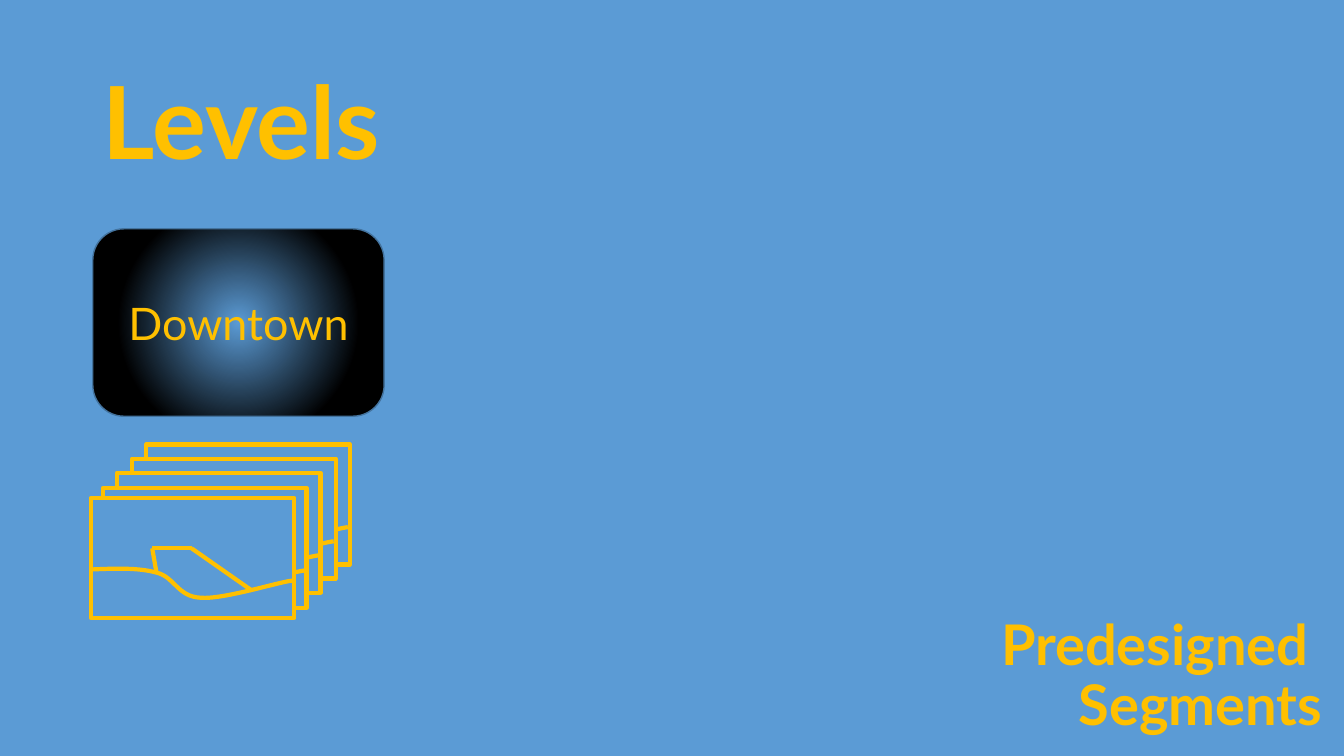
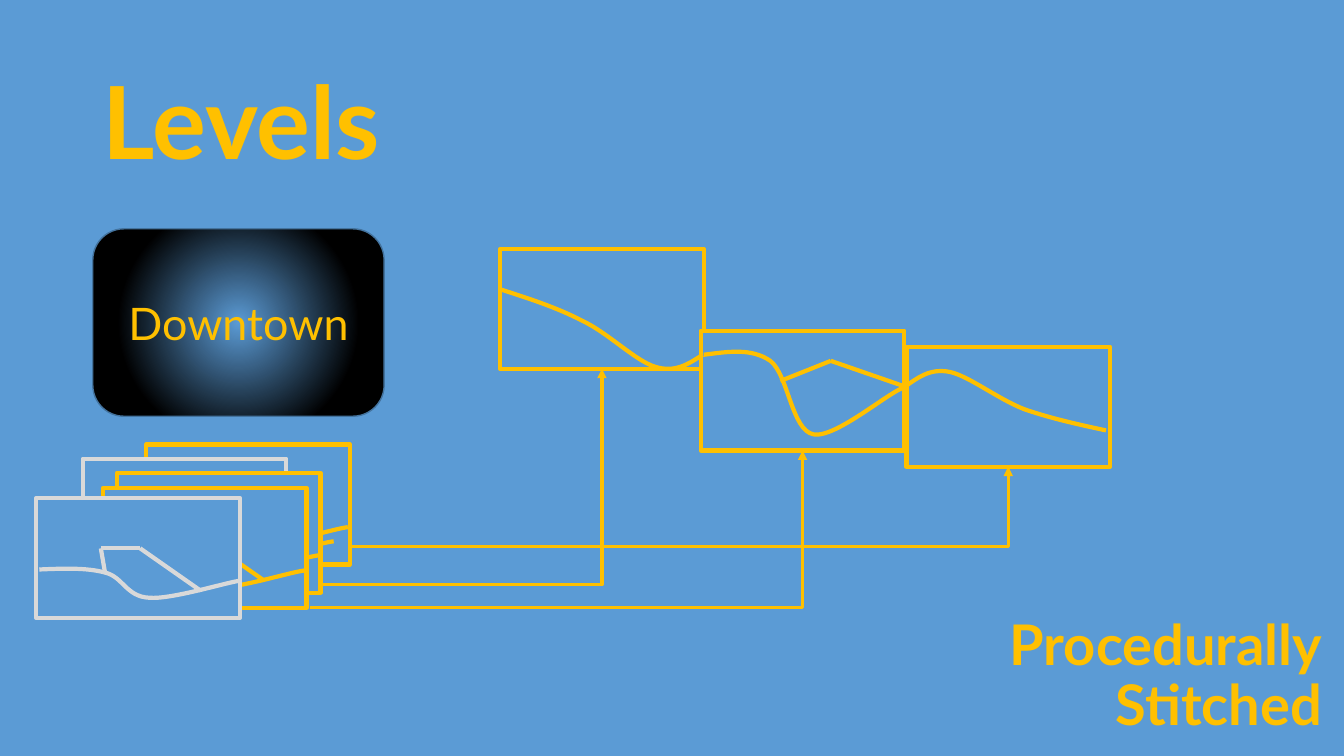
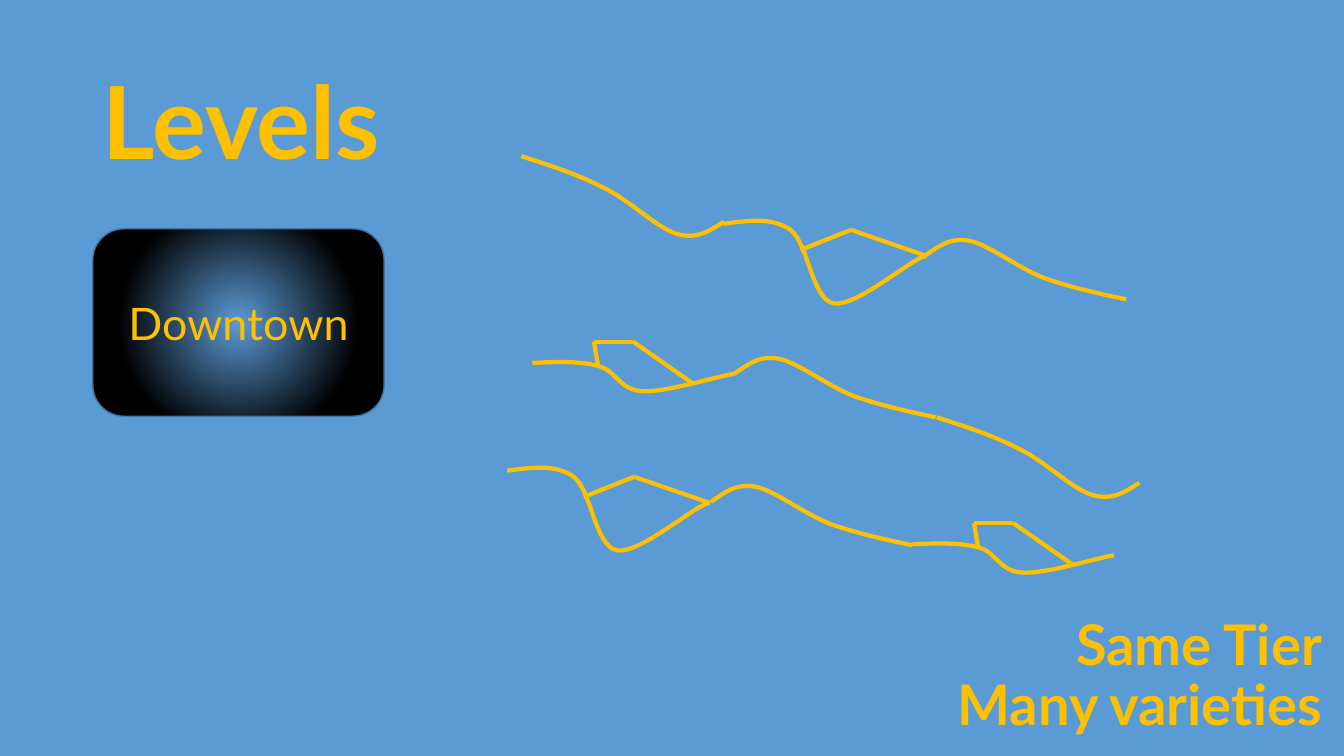
from dataclasses import dataclass
from itertools import pairwise

from lxml import etree
from pptx import Presentation
from pptx import util as u
from pptx.dml.color import RGBColor
from pptx.enum import shapes, text
from pptx.oxml.ns import nsdecls, qn


@dataclass(frozen=True)
class Theme:
    sky: str = "5B9BD5"
    gold: str = "FFC000"
    muted: str = "D9D9D9"
    edge: str = "43739E"
    black: str = "000000"
    font: str = "Lato"
    title: int = 72
    caption: int = 40
    label: int = 32
    stroke: float = 3
    arrow: float = 2.25


@dataclass(frozen=True)
class Terrain:
    """Cubic curve points and extra straight edges, measured from the left end."""
    curve: tuple
    edges: tuple = ()


T = Theme()
CELL = u.Inches(1)  # grid of one-inch columns and rows
COLS, ROWS = 13.33, 7.5
CARD_W, CARD_H = 2.02, 1.19
HORIZON = 0.71  # from the top of a card to its hill
STACK = ((1.45, 4.41), (1.31, 4.55), (1.16, 4.69), (1.02, 4.84), (0.9, 4.94))

HILL = Terrain(
    ((0, 0), (0.23, -0.01), (0.47, -0.02), (0.65, 0.03),
     (0.83, 0.07), (0.86, 0.27), (1.09, 0.28),
     (1.31, 0.3), (1.88, 0.12), (2, 0.11)),
    ((0.65, 0.02), (0.61, -0.21), (1, -0.21), (1.6, 0.21)))
VALLEY = Terrain(
    ((0, 0), (0.24, -0.03), (0.47, -0.07), (0.66, 0.06),
     (0.84, 0.2), (0.87, 0.75), (1.09, 0.79),
     (1.32, 0.83), (1.89, 0.32), (2.01, 0.32)),
    ((2.01, 0.32), (1.26, 0.06), (0.76, 0.26)))
DROP = Terrain(
    ((0, 0), (0.28, 0.09), (0.56, 0.18), (0.81, 0.31),
     (1.07, 0.43), (1.34, 0.71), (1.54, 0.77),
     (1.74, 0.83), (1.87, 0.74), (2.01, 0.65)))
CREST = Terrain(
    ((0, 0), (0.13, -0.09), (0.25, -0.19), (0.45, -0.15),
     (0.64, -0.11), (0.93, 0.12), (1.19, 0.22),
     (1.45, 0.31), (1.72, 0.37), (2, 0.43)))


def grid(*lengths):
    return [round(n * CELL) for n in lengths]


def rgb(color):
    return RGBColor.from_string(color)


def outline(sp, color, width=T.stroke):
    sp.line.color.rgb = rgb(color)
    sp.line.width = u.Pt(width)


def write(tf, words, size, align, anchor, bold=False, spacing=None):
    tf.text = words
    tf.word_wrap = True
    tf.auto_size = text.MSO_AUTO_SIZE.NONE
    tf.vertical_anchor = anchor
    for p in tf.paragraphs:
        p.alignment = align
        p.line_spacing = spacing
        for r in p.runs:
            r.font.name = T.font
            r.font.size = u.Pt(size)
            r.font.bold = bold
            r.font.color.rgb = rgb(T.gold)


def add_title(s, words):
    sp = s.shapes.title
    sp.left, sp.top, sp.width, sp.height = grid(0.92, 0.4, 11.5, 1.45)
    write(sp.text_frame, words, T.title, text.PP_ALIGN.LEFT,
          text.MSO_ANCHOR.BOTTOM, True, 0.9)


def add_caption(s, words):
    sp = s.shapes.add_textbox(*grid(8.84, 5.92, 4.37, 1.45))
    write(sp.text_frame, words, T.caption, text.PP_ALIGN.RIGHT,
          text.MSO_ANCHOR.BOTTOM, True, 0.9)


def add_badge(s, words):
    """Rounded button with a radial glow."""
    sp = s.shapes.add_shape(shapes.MSO_SHAPE.ROUNDED_RECTANGLE,
                            *grid(0.92, 2.27, 2.89, 1.86))
    sp.shadow.inherit = False
    outline(sp, T.edge, 1)
    stops = "".join(
        f'<a:gs pos="{pos * 1000}"><a:srgbClr val="{color}"/></a:gs>'
        for pos, color in ((0, T.sky), (70, T.black), (100, T.black)))
    glow = etree.fromstring(
        f'<a:gradFill {nsdecls("a")} rotWithShape="1"><a:gsLst>{stops}</a:gsLst>'
        '<a:path path="circle"><a:fillToRect l="50000" t="50000" r="50000" b="50000"/>'
        '</a:path></a:gradFill>')
    sp._element.spPr.find(qn("a:prstGeom")).addnext(glow)
    write(sp.text_frame, words, T.label, text.PP_ALIGN.CENTER, text.MSO_ANCHOR.MIDDLE)


def add_card(s, x, y, color=T.gold):
    sp = s.shapes.add_shape(shapes.MSO_SHAPE.RECTANGLE, *grid(x, y, CARD_W, CARD_H))
    sp.shadow.inherit = False
    sp.fill.solid()
    sp.fill.fore_color.rgb = rgb(T.sky)
    outline(sp, color)


def add_connector(s, kind, start, end, color, width):
    sp = s.shapes.add_connector(kind, *grid(*start, *end))
    outline(sp, color, width)
    etree.SubElement(sp._element.spPr, qn("a:effectLst"))
    return sp


def add_arrow(s, start, end):
    """Runs right from start, then up to end."""
    sp = add_connector(s, shapes.MSO_CONNECTOR.ELBOW, start, end, T.gold, T.arrow)
    sp._element.spPr.find(qn("a:prstGeom")).set("prst", "bentConnector2")
    etree.SubElement(sp.line._get_or_add_ln(), qn("a:tailEnd"), type="triangle")


def add_curve(s, points, color):
    """Freeform whose points after the first are cubic Bézier triples."""
    first, *rest = [grid(*point) for point in points]
    builder = s.shapes.build_freeform(*first)
    builder.add_line_segments(rest, close=False)
    sp = builder.convert_to_shape()
    sp.shadow.inherit = False
    sp.fill.background()
    outline(sp, color)
    segments = list(sp._element.iter(qn("a:lnTo")))
    for i in range(0, len(segments), 3):
        bezier = etree.SubElement(segments[0].getparent() if i == 0 else outline_of,
                                  qn("a:cubicBezTo"))
        outline_of = bezier.getparent()
        for segment in segments[i:i + 3]:
            bezier.append(segment[0])
            outline_of.remove(segment)


def add_edges(s, points, x, y, color=T.gold):
    for start, end in pairwise((x + dx, y + dy) for dx, dy in points):
        add_connector(s, shapes.MSO_CONNECTOR.STRAIGHT, start, end, color, T.stroke)


def add_terrain(s, terrain, x, y, color=T.gold, edges=True):
    add_curve(s, [(x + dx, y + dy) for dx, dy in terrain.curve], color)
    if edges:
        add_edges(s, terrain.edges, x, y, color)


def add_level_slide(prs, caption):
    s = prs.slides.add_slide(prs.slide_layouts.get_by_name("Title Only"))
    add_title(s, "Levels")
    add_caption(s, caption)
    add_badge(s, "Downtown")
    return s


def predesigned(prs):
    s = add_level_slide(prs, "Predesigned \nSegments")
    for x, y in STACK:
        add_card(s, x, y)
        add_terrain(s, HILL, x, y + HORIZON, edges=(x, y) == STACK[-1])


def stitched(prs):
    s = add_level_slide(prs, "Procedurally\nStitched")
    pulled = {1: 0.82, 4: 0.36}  # unused cards, moved left
    for i, (x, y) in enumerate(STACK):
        front = i == len(STACK) - 1
        add_card(s, pulled.get(i, x), y, T.muted if i in pulled else T.gold)
        add_terrain(s, HILL, 0.39 if front else x, y + HORIZON,
                    T.muted if front else T.gold, edges=front)
        if i == 3:
            add_edges(s, HILL.edges[-2:], x, y + HORIZON)

    placed = ((4.96, 2.47), (6.95, 3.28), (8.99, 3.44))
    for x, y in placed:
        add_card(s, x, y)
    add_terrain(s, VALLEY, 6.98, 3.52)
    add_terrain(s, DROP, 4.96, 2.87)
    add_terrain(s, CREST, 8.97, 3.84)
    sources = ((3.18, 5.8), (3.07, 6.03), (3.45, 5.42))
    for source, (x, y) in zip(sources, placed):
        add_arrow(s, source, (x + CARD_W / 2, y + CARD_H))


def varieties(prs):
    s = add_level_slide(prs, "Same Tier\nMany varieties")
    tracks = (
        ((DROP, 5.17, 1.55), (VALLEY, 7.18, 2.22), (CREST, 9.17, 2.54)),
        ((HILL, 5.28, 3.6), (CREST, 7.28, 3.71), (DROP, 9.29, 4.14)),
        ((VALLEY, 5.03, 4.67), (CREST, 7.05, 4.98), (HILL, 9.05, 5.4)),
    )
    for track in tracks:
        for terrain, x, y in track:
            add_terrain(s, terrain, x, y)


def main():
    prs = Presentation()
    prs.slide_width, prs.slide_height = grid(COLS, ROWS)
    fill = prs.slide_master.background.fill
    fill.solid()
    fill.fore_color.rgb = rgb(T.sky)
    for build in (predesigned, stitched, varieties):
        build(prs)
    prs.save("out.pptx")


if __name__ == "__main__":
    main()
